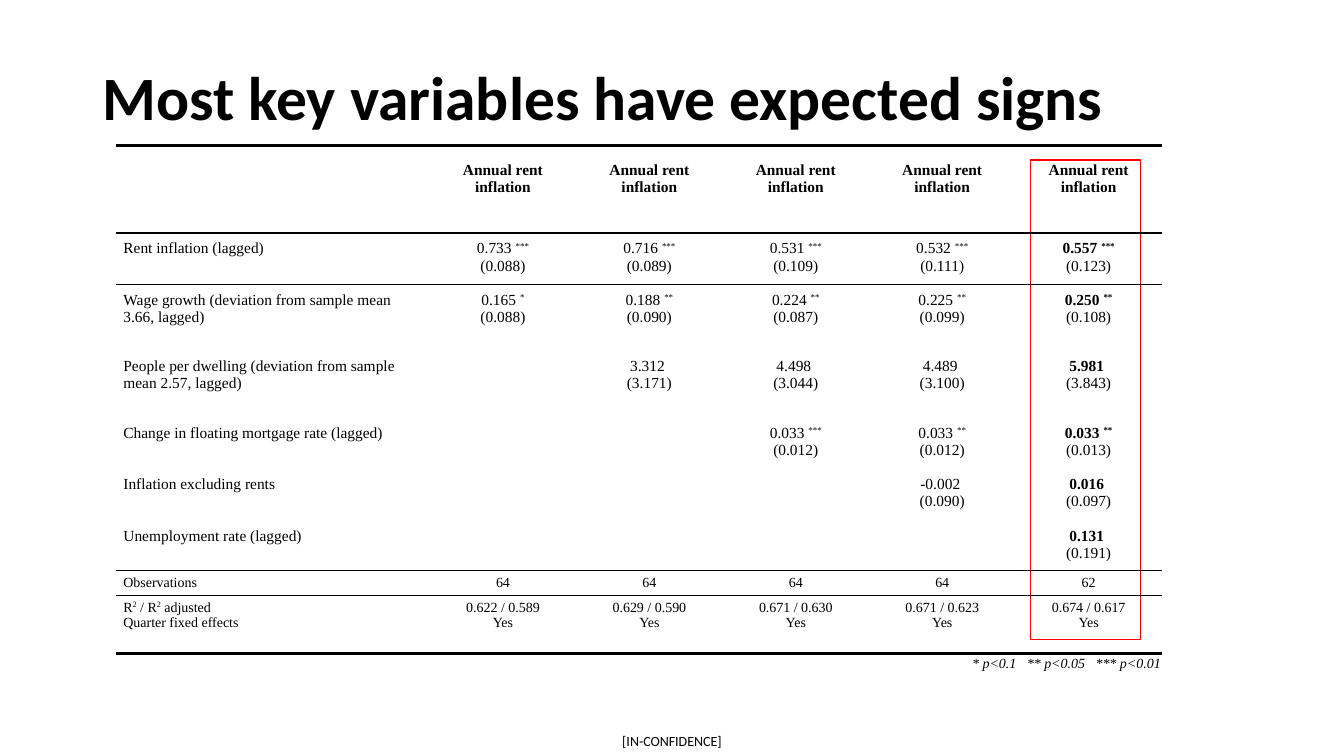
from lxml.etree import SubElement
from pptx import Presentation
from pptx.dml.color import RGBColor
from pptx.enum.shapes import MSO_SHAPE
from pptx.enum.text import MSO_ANCHOR, MSO_AUTO_SIZE, PP_ALIGN
from pptx.oxml.ns import qn
from pptx.util import Cm, Pt

BLACK = RGBColor(0, 0, 0)
WHITE = RGBColor(255, 255, 255)
RED = RGBColor(255, 0, 0)
HEADING_FONT, TABLE_FONT = "Calibri", "Times New Roman"
PLAIN_STYLE = "{2D5ABB26-0587-4C30-8999-92F81FD0307C}"

COLUMN_WIDTHS = [7.9] + [3.69] * 5
ROW_HEIGHTS = [1.68, 0.52, 1.3, 1.67, 1.67, 1.3, 1.3, 1.27, 0.63, 1.46, 0.52]
SPACER_ROW, FIRST_ROW, OBSERVATIONS_ROW, FIT_ROW, NOTE_ROW = 1, 2, 8, 9, 10
# Rules drawn above these rows: row index and line width in points
RULES = {0: 2.25, FIRST_ROW: 1, OBSERVATIONS_ROW: 1, NOTE_ROW: 2.25}

# Each estimate is value, significance stars, standard error;
# a variable enters late, so its estimates fill the last columns
COEFFICIENTS = [
    ("Rent inflation (lagged)",
     [("0.733", "***", "0.088"), ("0.716", "***", "0.089"), ("0.531", "***", "0.109"),
      ("0.532", "***", "0.111"), ("0.557", "***", "0.123")]),
    ("Wage growth (deviation from sample mean 3.66, lagged)",
     [("0.165", "*", "0.088"), ("0.188", "**", "0.090"), ("0.224", "**", "0.087"),
      ("0.225", "**", "0.099"), ("0.250", "**", "0.108")]),
    ("People per dwelling (deviation from sample mean 2.57, lagged)",
     [("3.312", "", "3.171"), ("4.498", "", "3.044"), ("4.489", "", "3.100"),
      ("5.981", "", "3.843")]),
    ("Change in floating mortgage rate (lagged)",
     [("0.033", "***", "0.012"), ("0.033", "**", "0.012"), ("0.033", "**", "0.013")]),
    ("Inflation excluding rents", [("-0.002", "", "0.090"), ("0.016", "", "0.097")]),
    ("Unemployment rate (lagged)", [("0.131", "", "0.191")]),
]
OBSERVATIONS = ["64", "64", "64", "64", "62"]
FITS = ["0.622 / 0.589", "0.629 / 0.590", "0.671 / 0.630", "0.671 / 0.623", "0.674 / 0.617"]


def add_run(paragraph, text, size, font=TABLE_FONT, bold=False, italic=False, raised=False):
    run = paragraph.add_run()
    run.text = text
    run.font.name, run.font.size = font, Pt(size)
    run.font.bold, run.font.italic = bold, italic
    run.font.color.rgb = BLACK
    if raised:
        run.font._element.set("baseline", "30000")


def add_break(paragraph, size):
    paragraph.add_line_break()
    SubElement(paragraph._p[-1], qn("a:rPr"), sz=str(size * 100))


def open_cell(cell, align, side=0.18, edge=0.18, anchor=MSO_ANCHOR.TOP):
    """Set margins and anchor, and return the first paragraph."""
    cell.margin_left = cell.margin_right = Cm(side)
    cell.margin_top = cell.margin_bottom = Cm(edge)
    cell.vertical_anchor = anchor
    paragraph = cell.text_frame.paragraphs[0]
    paragraph.alignment = align
    return paragraph


def add_border(cell, tag, points):
    line = SubElement(cell._tc.get_or_add_tcPr(), qn(tag), w=str(Pt(points)))
    fill = SubElement(line, qn("a:solidFill"))
    SubElement(fill, qn("a:srgbClr"), val=str(BLACK))


def format_grid(table):
    for column, width in zip(table.columns, COLUMN_WIDTHS):
        column.width = Cm(width)
    for index, row in enumerate(table.rows):
        row.height = Cm(ROW_HEIGHTS[index])
        for cell in row.cells:
            if index in RULES:
                add_border(cell, "a:lnT", RULES[index])
            if index + 1 in RULES:
                add_border(cell, "a:lnB", RULES[index + 1])
            cell.fill.background()


def fill_header(table):
    for column in range(1, 6):
        paragraph = open_cell(table.cell(0, column), PP_ALIGN.CENTER, anchor=MSO_ANCHOR.MIDDLE)
        add_run(paragraph, "Annual rent inflation", 11, bold=True)
    # Small type keeps the empty spacer row low
    for cell in table.rows[SPACER_ROW].cells:
        paragraph = open_cell(cell, PP_ALIGN.LEFT, edge=0)
        SubElement(paragraph._p, qn("a:endParaRPr"), sz="800")


def fill_coefficients(table):
    for row, (label, estimates) in enumerate(COEFFICIENTS, FIRST_ROW):
        add_run(open_cell(table.cell(row, 0), PP_ALIGN.LEFT), label, 11)
        for column, (value, stars, error) in enumerate(estimates, 6 - len(estimates)):
            bold = column == 5
            paragraph = open_cell(table.cell(row, column), PP_ALIGN.CENTER)
            add_run(paragraph, value + " ", 11, bold=bold)
            if stars:
                add_run(paragraph, stars, 11, bold=bold, raised=True)
            add_break(paragraph, 11)
            add_run(paragraph, f"({error})", 11)


def fill_statistics(table):
    paragraph = open_cell(table.cell(OBSERVATIONS_ROW, 0), PP_ALIGN.LEFT, edge=0.1)
    add_run(paragraph, "Observations", 10)
    label_cell = table.cell(FIT_ROW, 0)
    paragraph = open_cell(label_cell, PP_ALIGN.LEFT, edge=0.1)
    for text in ("R", "2", " / R", "2", " adjusted"):
        add_run(paragraph, text, 10, raised=text == "2")
    add_run(label_cell.text_frame.add_paragraph(), "Quarter fixed effects", 10)

    for column, (count, fit) in enumerate(zip(OBSERVATIONS, FITS), 1):
        paragraph = open_cell(table.cell(OBSERVATIONS_ROW, column), PP_ALIGN.CENTER, edge=0.1)
        add_run(paragraph, count, 10)
        fit_cell = table.cell(FIT_ROW, column)
        add_run(open_cell(fit_cell, PP_ALIGN.CENTER, edge=0.1), fit, 10)
        paragraph = fit_cell.text_frame.add_paragraph()
        paragraph.alignment = PP_ALIGN.CENTER
        add_run(paragraph, "Yes", 10)


def fill_note(table):
    note = table.cell(NOTE_ROW, 0)
    note.merge(table.cell(NOTE_ROW, 5))
    paragraph = open_cell(note, PP_ALIGN.RIGHT, side=0.03, edge=0.03, anchor=MSO_ANCHOR.MIDDLE)
    add_run(paragraph, "* p<0.1   ** p<0.05   *** p<0.01", 10, italic=True)


def add_regression_table(slide, left, top):
    # Red frame behind the last column
    frame = slide.shapes.add_shape(MSO_SHAPE.RECTANGLE, left + Cm(23.04), top + Cm(0.36),
                                   Cm(2.77), Cm(12.09))
    frame.shadow.inherit = False
    frame.fill.solid()
    frame.fill.fore_color.rgb = WHITE
    frame.line.color.rgb = RED
    frame.line.width = Pt(1)

    shape = slide.shapes.add_table(len(ROW_HEIGHTS), len(COLUMN_WIDTHS), left, top,
                                   Cm(sum(COLUMN_WIDTHS)), Cm(sum(ROW_HEIGHTS)))
    table = shape.table
    table.first_row = table.horz_banding = False
    table._tbl.tblPr.find(qn("a:tableStyleId")).text = PLAIN_STYLE
    format_grid(table)
    fill_header(table)
    fill_coefficients(table)
    fill_statistics(table)
    fill_note(table)


def place_title(slide, left, top, width, height):
    title = slide.shapes.title
    title.left, title.top, title.width, title.height = left, top, width, height
    frame = title.text_frame
    frame.auto_size = MSO_AUTO_SIZE.NONE
    frame.vertical_anchor = MSO_ANCHOR.MIDDLE
    paragraph = frame.paragraphs[0]
    paragraph.alignment = PP_ALIGN.LEFT
    paragraph.line_spacing = 0.9
    add_run(paragraph, "Most key variables have expected signs", 44, HEADING_FONT, bold=True)


def add_marking(slide, left, top, width, height):
    frame = slide.shapes.add_textbox(left, top, width, height).text_frame
    frame.word_wrap = True
    frame.vertical_anchor = MSO_ANCHOR.MIDDLE
    frame.margin_left = frame.margin_right = frame.margin_top = frame.margin_bottom = 0
    paragraph = frame.paragraphs[0]
    paragraph.alignment = PP_ALIGN.CENTER
    add_run(paragraph, "[IN-CONFIDENCE]", 10, HEADING_FONT)


def main():
    presentation = Presentation()
    presentation.slide_width, presentation.slide_height = Cm(33.87), Cm(19.05)
    slide = presentation.slides.add_slide(presentation.slide_layouts[5])
    place_title(slide, Cm(2.33), Cm(0.69), Cm(29.21), Cm(3.68))
    add_regression_table(slide, Cm(2.93), Cm(3.67))
    add_marking(slide, Cm(15.27), Cm(18.31), Cm(3.33), Cm(0.74))
    presentation.save("out.pptx")


if __name__ == "__main__":
    main()
